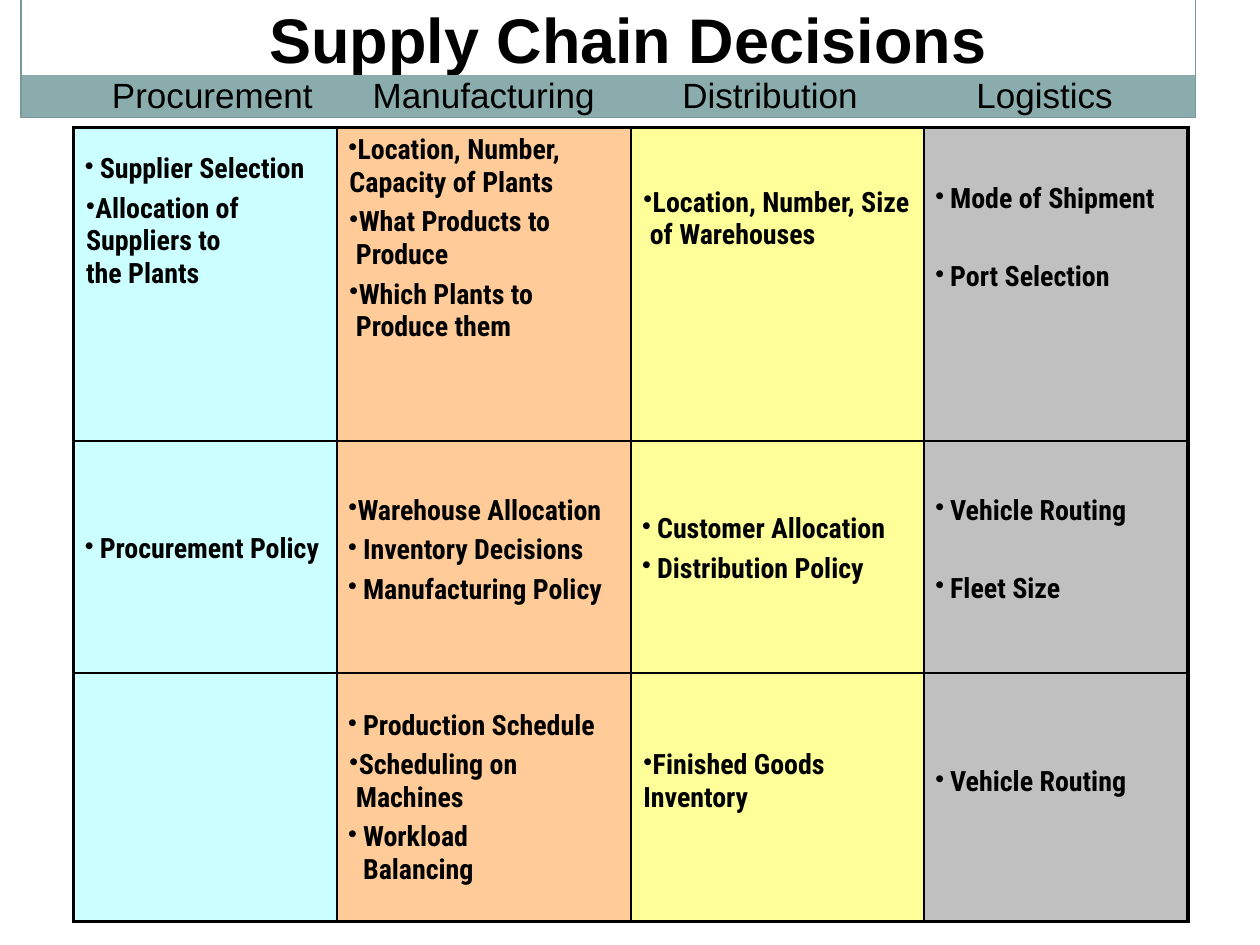
from lxml.etree import SubElement as Sub
from pptx import Presentation
from pptx.dml.color import RGBColor as RGB
from pptx.enum.text import MSO_ANCHOR as Anchor, PP_ALIGN as Align
from pptx.oxml.ns import qn
from pptx.util import Pt

INK = {
    "text": "000000", "rule": "7A9799", "band": "8BACAD",
    "cols": ["CCFFFF", "FFCC99", "FFFF99", "C0C0C0"],
}
HEADS = [("Procurement", 52), ("Manufacturing", 20),
         ("Distribution", 28), ("Logistics", 37)]
KINDS = {"hang": (15, -8.5), "tight": (11.5, -5),
         "flush": (7.2, 0), "plain": (7.2, 0)}
GRID = [
    [
        (14.4, [("hang", 0, "Supplier Selection"),
                ("flush", 4, "Allocation of\nSuppliers to\nthe Plants")]),
        (3.6, [("tight", 0, "Location, Number,"),
               ("plain", 0, "Capacity of Plants"),
               ("flush", 4, "What Products to\n Produce"),
               ("flush", 4, "Which Plants to\n Produce them")]),
        (33.5, [("flush", 0, "Location, Number, Size\n of Warehouses")]),
        (31.5, [("hang", 0, "Mode of Shipment"),
                ("hang", 26, "Port Selection")]),
    ],
    [
        (52.5, [("hang", 0, "Procurement Policy")]),
        (30.5, [("tight", 0, "Warehouse Allocation"),
                ("hang", 4, "Inventory Decisions"),
                ("hang", 4, "Manufacturing Policy")]),
        (41, [("hang", 0, "Customer Allocation"),
              ("hang", 4, "Distribution Policy")]),
        (30.5, [("hang", 0, "Vehicle Routing"),
                ("hang", 26, "Fleet Size")]),
    ],
    [
        (0, []),
        (21, [("hang", 0, "Production Schedule"),
              ("flush", 4, "Scheduling on\n Machines"),
              ("hang", 4, "Workload\nBalancing")]),
        (43.5, [("flush", 0, "Finished Goods\nInventory")]),
        (53, [("hang", 0, "Vehicle Routing")]),
    ],
]


def write(para, text, font, size, bold):
    """Add one formatted run to a paragraph."""
    run = para.add_run()
    run.text = text
    run.font.name, run.font.size, run.font.bold = font, Pt(size), bold
    run.font.color.rgb = RGB.from_string(INK["text"])


def strip(part):
    """Set all four insets of a cell or text frame to zero."""
    part.margin_left = part.margin_right = Pt(0)
    part.margin_top = part.margin_bottom = Pt(0)


def edge(cell, widths, color):
    """Draw left, right, top and bottom borders; zero means none."""
    props = cell._tc.get_or_add_tcPr()
    for side, width in zip("LRTB", widths):
        line = Sub(props, qn(f"a:ln{side}"), w=str(Pt(width)))
        if width:
            fill = Sub(line, qn("a:solidFill"))
            Sub(fill, qn("a:srgbClr"), val=color)
        else:
            Sub(line, qn("a:noFill"))


def frame(slide, box, cols, rows):
    """Add a plain table whose tracks share out the box."""
    left, top, width, height = box
    table = slide.shapes.add_table(
        len(rows), len(cols), Pt(left), Pt(top), Pt(width), Pt(height)).table
    table.first_row = table.horz_banding = False
    for col, share in zip(table.columns, cols):
        col.width = Pt(width * share / sum(cols))
    for row, share in zip(table.rows, rows):
        row.height = Pt(height * share / sum(rows))
    for cell in table.iter_cells():
        strip(cell)
    return table


def title(slide, box):
    """Place the slide title in its box."""
    shape = slide.shapes.title
    shape.left, shape.top, shape.width, shape.height = map(Pt, box)
    text = shape.text_frame
    strip(text)
    text.word_wrap = True
    text.vertical_anchor = Anchor.TOP
    para = text.paragraphs[0]
    para.alignment = Align.CENTER
    write(para, "Supply Chain Decisions", "Arial", 36, True)


def header(slide, box):
    """Build the outlined title panel and its band of headings."""
    table = frame(slide, box, [181, 169, 159, 162], [55, 24])
    table.cell(0, 0).merge(table.cell(0, 3))
    for c, (name, inset) in enumerate(HEADS):
        cap, cell = table.cell(0, c), table.cell(1, c)
        left, right = 0.75 * (c == 0), 0.75 * (c == 3)
        edge(cap, (left, 0.75, 0.75, 0), INK["rule"])
        cap.fill.background()
        edge(cell, (left, right, 0, 0.75), INK["rule"])
        cell.fill.solid()
        cell.fill.fore_color.rgb = RGB.from_string(INK["band"])
        cell.margin_left = Pt(inset)
        cell.vertical_anchor = Anchor.MIDDLE
        write(cell.text_frame.paragraphs[0], name, "Arial", 20, False)


def item(para, kind, gap, text):
    """Write one decision with its bullet and hanging indent."""
    props = para._p.get_or_add_pPr()
    margin, indent = KINDS[kind]
    props.set("marL", str(Pt(margin)))
    props.set("indent", str(Pt(indent)))
    para.space_before = Pt(gap)
    if kind != "plain":
        Sub(props, qn("a:buSzPct"), val="94000")
        Sub(props, qn("a:buChar"), char="•")
    for n, line in enumerate(text.split("\n")):
        if n:
            para.add_line_break()
        write(para, line, "Roboto Condensed", 16, True)


def matrix(slide, box):
    """Build the grid of decisions, one colour to a column."""
    table = frame(slide, box, [150.5, 168, 167.5, 151], [179, 132.5, 142])
    last = len(GRID) - 1
    for r, row in enumerate(GRID):
        for c, (top, items) in enumerate(row):
            cell = table.cell(r, c)
            outer = (c == 0, c == len(row) - 1, r == 0, r == last)
            edge(cell, [2.25 if out else 1 for out in outer], INK["text"])
            cell.fill.solid()
            cell.fill.fore_color.rgb = RGB.from_string(INK["cols"][c])
            cell.margin_top = Pt(top)
            text = cell.text_frame
            for n, entry in enumerate(items):
                para = text.add_paragraph() if n else text.paragraphs[0]
                item(para, *entry)


def main():
    """Build and save the slide."""
    deck = Presentation()
    deck.slide_width, deck.slide_height = Pt(720), Pt(540)
    slide = deck.slides.add_slide(deck.slide_layouts[5])
    title(slide, (35, 0, 648, 42))
    matrix(slide, (42, 73, 637, 453.5))
    header(slide, (12, -12, 671, 79))
    deck.save("out.pptx")


if __name__ == "__main__":
    main()
